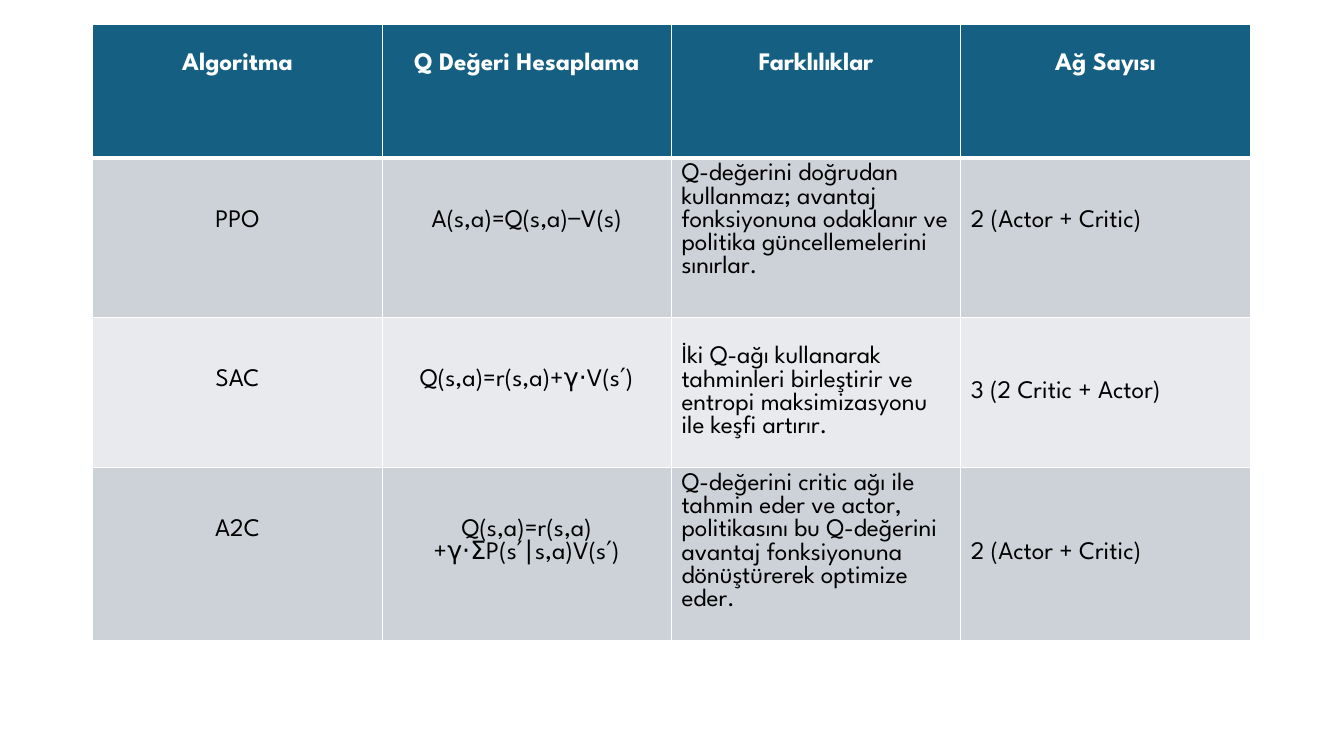
from typing import NamedTuple

import pptx
import pptx.dml.color
import pptx.enum.text
import pptx.oxml
import pptx.oxml.ns
import pptx.table
import pptx.util

Inches = pptx.util.Inches
RGB = pptx.dml.color.RGBColor
Align = pptx.enum.text.PP_ALIGN
Anchor = pptx.enum.text.MSO_ANCHOR

WHITE = RGB(0xFF, 0xFF, 0xFF)
BLACK = RGB(0, 0, 0)
BLUE = RGB(0x15, 0x60, 0x82)
DARK = RGB(0xCC, 0xD2, 0xD8)
LIGHT = RGB(0xE8, 0xEA, 0xED)

FONT = {"name": "League Spartan", "size": pptx.util.Pt(18)}
HEAD = FONT | {"bold": True}
BODY = FONT | {"bold": False}
PAD = 0.05   # default top margin of a cell
LINE = 0.23  # height of one text line
WIDTH = 2.87


class Cell(NamedTuple):
    text: str
    drop: int = 2  # lines the text is moved down
    align: Align = Align.CENTER
    anchor: Anchor = Anchor.TOP


class Row(NamedTuple):
    height: float
    fill: RGB
    color: RGB
    font: dict
    top: int  # border widths in points
    base: int
    cells: list[Cell]


LEFT, MID = Align.LEFT, Anchor.MIDDLE
TITLES = ["Algoritma", "Q Değeri Hesaplama", "Farklılıklar", "Ağ Sayısı"]

ROWS = [
    Row(1.33, BLUE, WHITE, HEAD, 1, 3, [Cell(title, 1) for title in TITLES]),
    Row(1.58, DARK, BLACK, BODY, 3, 1, [
        Cell("PPO"),
        Cell("A(s,a)=Q(s,a)−V(s)"),
        Cell("Q-değerini doğrudan kullanmaz; avantaj fonksiyonuna odaklanır "
             "ve politika güncellemelerini sınırlar.", 0, LEFT),
        Cell("2 (Actor + Critic)", 2, LEFT),
    ]),
    Row(1.49, LIGHT, BLACK, BODY, 1, 1, [
        Cell("SAC"),
        Cell("Q(s,a)=r(s,a)+γ⋅V(s′)"),
        Cell("İki Q-ağı kullanarak tahminleri birleştirir ve entropi "
             "maksimizasyonu ile keşfi artırır.", 0, LEFT, MID),
        Cell("3 (2 Critic + Actor)", 0, LEFT, MID),
    ]),
    Row(1.72, DARK, BLACK, BODY, 1, 1, [
        Cell("A2C"),
        Cell("Q(s,a)=r(s,a)+γ⋅ΣP(s′∣s,a)V(s′)"),
        Cell("Q-değerini critic ağı ile tahmin eder ve actor, politikasını bu "
             "Q-değerini avantaj fonksiyonuna dönüştürerek optimize eder.",
             0, LEFT),
        Cell("2 (Actor + Critic)", 3, LEFT),
    ]),
]


def edge(box: pptx.table._Cell, row: Row) -> None:
    """Give the cell white borders."""
    props = box._tc.get_or_add_tcPr()
    sides = {"lnL": 1, "lnR": 1, "lnT": row.top, "lnB": row.base}
    for spot, (tag, width) in enumerate(sides.items()):
        line = pptx.oxml.parse_xml(
            f'<a:{tag} {pptx.oxml.ns.nsdecls("a")} w="{pptx.util.Pt(width)}">'
            f'<a:solidFill><a:srgbClr val="{WHITE}"/></a:solidFill></a:{tag}>')
        props.insert(spot, line)


def draw(box: pptx.table._Cell, cell: Cell, row: Row) -> None:
    """Fill, place and format one cell."""
    box.fill.solid()
    box.fill.fore_color.rgb = row.fill
    box.margin_top = Inches(PAD + cell.drop * LINE)
    box.vertical_anchor = cell.anchor
    box.text = cell.text
    para = box.text_frame.paragraphs[0]
    para.alignment = cell.align
    font = para.runs[0].font
    for name, value in row.font.items():
        setattr(font, name, value)
    font.color.rgb = row.color
    edge(box, row)


def main() -> None:
    deck = pptx.Presentation()
    deck.slide_width, deck.slide_height = Inches(13.33), Inches(7.5)
    slide = deck.slides.add_slide(deck.slide_layouts[6])

    # Table of algorithms
    count = len(TITLES)
    table = slide.shapes.add_table(
        len(ROWS), count, Inches(0.92), Inches(0.24),
        Inches(WIDTH * count), Inches(sum(row.height for row in ROWS))).table
    for col in table.columns:
        col.width = Inches(WIDTH)
    for r, row in enumerate(ROWS):
        table.rows[r].height = Inches(row.height)
        for c, cell in enumerate(row.cells):
            draw(table.cell(r, c), cell, row)

    deck.save("out.pptx")


if __name__ == "__main__":
    main()
